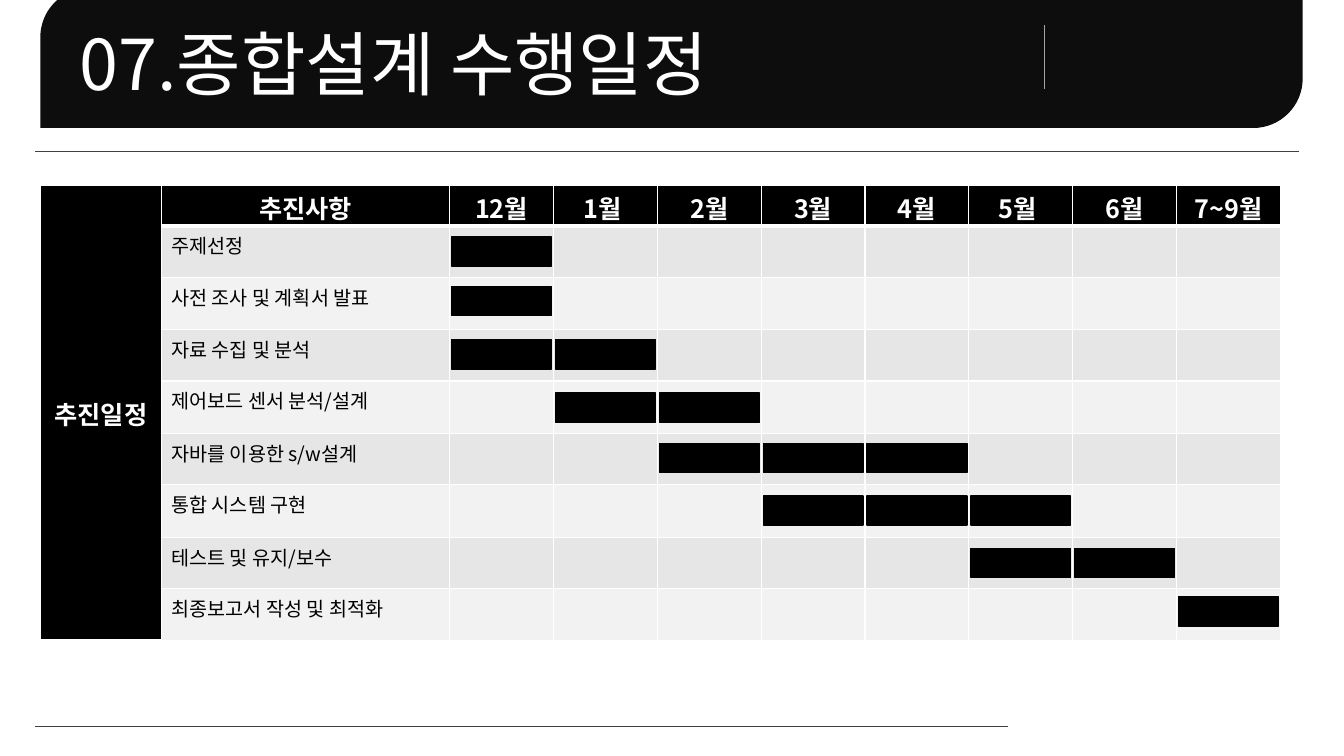
from dataclasses import dataclass
from math import cos, radians, sin

from lxml.etree import SubElement
from pptx import Presentation
from pptx.dml.color import RGBColor
from pptx.enum.shapes import MSO_CONNECTOR, MSO_SHAPE
from pptx.enum.text import MSO_ANCHOR, MSO_AUTO_SIZE, PP_ALIGN
from pptx.oxml.ns import qn
from pptx.slide import Slide
from pptx.table import _Cell
from pptx.text.text import TextFrame
from pptx.util import Emu, Pt

EMU_PER_PX = 9144  # 100 px to the inch
FONT = "Noto Sans CJK KR"
BLACK, WHITE, BANNER, RULE, DIVIDER = "000000", "FFFFFF", "0D0D0D", "404040", "A6A6A6"
ROW_FILLS = ("E7E6E6", "F2F2F2")

TABLE_LEFT, TABLE_TOP = 40, 184
STAGE_WIDTH, TASK_WIDTH, MONTH_WIDTH = 120, 286, 103
HEADER_HEIGHT, BODY_HEIGHT = 40, 412
BAR_LEFT, BAR_WIDTH, BAR_HEIGHT = 448, 99, 29
MONTHS = ("12월", "1월 ", "2월", "3월", "4월", "5월 ", "6월", "7~9월")


@dataclass(frozen=True)
class Task:
    name: str
    first_month: int
    month_count: int
    bar_top: int


@dataclass(frozen=True)
class Rule:
    start: tuple[int, int]
    end: tuple[int, int]
    color: str
    points: float


TASKS = (
    Task("주제선정", 0, 1, 235),
    Task("사전 조사 및 계획서 발표", 0, 1, 284),
    Task("자료 수집 및 분석", 0, 2, 337),
    Task("제어보드 센서 분석/설계", 1, 2, 390),
    Task("자바를 이용한 s/w설계", 2, 3, 440),
    Task("통합 시스템 구현", 3, 3, 492),
    Task("테스트 및 유지/보수", 5, 2, 544),
    Task("최종보고서 작성 및 최적화", 7, 1, 592),
)
RULES = (
    Rule((35, 150), (1288, 150), RULE, 0.5),
    Rule((35, 721), (1000, 721), RULE, 0.5),
    Rule((1036, 25), (1036, 88), DIVIDER, 1),
)


def px(length: float) -> Emu:
    return Emu(round(length * EMU_PER_PX))


def rgb(color: str) -> RGBColor:
    return RGBColor.from_string(color)


def write(frame: TextFrame, text: str, size: int, color: str,
          bold: bool = False, align: PP_ALIGN = PP_ALIGN.LEFT) -> None:
    frame.text = text
    paragraph = frame.paragraphs[0]
    paragraph.alignment = align
    for run in paragraph.runs:
        run.font.name, run.font.size, run.font.bold = FONT, Pt(size), bold
        run.font.color.rgb = rgb(color)
        SubElement(run.font._element, qn("a:ea"), typeface=FONT)


def arc(center: tuple[int, int], radius: int, start: int, end: int) -> list[tuple[Emu, Emu]]:
    """Return points on a circle; angles in degrees run clockwise from the right."""
    x, y = center
    steps = 16
    angles = [radians(start + (end - start) * step / steps) for step in range(steps + 1)]
    return [(px(x + radius * cos(a)), px(y + radius * sin(a))) for a in angles]


def draw_banner(slide: Slide) -> None:
    lower_right = arc((1243, 78), 49, 0, 90)
    upper_left = arc((89, 37), 49, 180, 229)
    builder = slide.shapes.build_freeform(px(57), 0, scale=1.0)
    builder.add_line_segments(
        [(px(1292), 0), *lower_right, (px(40), px(127)), *upper_left], close=True)
    banner = builder.convert_to_shape()
    banner.shadow.inherit = False
    banner.fill.solid()
    banner.fill.fore_color.rgb = rgb(BANNER)
    banner.line.fill.background()


def draw_rule(slide: Slide, rule: Rule) -> None:
    connector = slide.shapes.add_connector(
        MSO_CONNECTOR.STRAIGHT, *map(px, rule.start + rule.end))
    connector.line.color.rgb = rgb(rule.color)
    connector.line.width = Pt(rule.points)
    SubElement(connector._element.spPr, qn("a:effectLst"))


def draw_title(slide: Slide) -> None:
    frame = slide.shapes.add_textbox(px(69), px(15), px(721), px(94)).text_frame
    frame.word_wrap = False
    frame.auto_size = MSO_AUTO_SIZE.SHAPE_TO_FIT_TEXT
    write(frame, "07.종합설계 수행일정", 50, WHITE)


def style_cell(cell: _Cell, fill: str, bottom_points: int = 1) -> None:
    """Fill the cell and give it white borders."""
    cell.fill.solid()
    cell.fill.fore_color.rgb = rgb(fill)
    properties = cell._tc.get_or_add_tcPr()
    widths = {"lnL": 1, "lnR": 1, "lnT": 1, "lnB": bottom_points}
    for index, (side, points) in enumerate(widths.items()):
        border = properties.makeelement(qn(f"a:{side}"), {"w": str(Pt(points))})
        solid = SubElement(border, qn("a:solidFill"))
        SubElement(solid, qn("a:srgbClr"), val=WHITE)
        properties.insert(index, border)


def draw_schedule(slide: Slide) -> None:
    widths = [STAGE_WIDTH, TASK_WIDTH] + [MONTH_WIDTH] * len(MONTHS)
    edges = [BODY_HEIGHT * row // len(TASKS) for row in range(len(TASKS) + 1)]
    heights = [HEADER_HEIGHT] + [low - high for high, low in zip(edges, edges[1:])]
    table = slide.shapes.add_table(
        len(heights), len(widths), px(TABLE_LEFT), px(TABLE_TOP),
        px(sum(widths)), px(sum(heights))).table
    for column, width in zip(table.columns, widths):
        column.width = px(width)
    for row, height in zip(table.rows, heights):
        row.height = px(height)

    for row in range(len(heights)):
        for column in range(len(widths)):
            dark = row == 0 or column == 0
            style_cell(table.cell(row, column), BLACK if dark else ROW_FILLS[(row - 1) % 2],
                       3 if dark else 1)

    stage = table.cell(0, 0)
    stage.merge(table.cell(len(TASKS), 0))
    stage.vertical_anchor = MSO_ANCHOR.MIDDLE
    write(stage.text_frame, "추진일정", 18, WHITE, True, PP_ALIGN.CENTER)
    for column, heading in enumerate(("추진사항", *MONTHS), start=1):
        cell = table.cell(0, column)
        cell.margin_top, cell.margin_bottom = px(4), 0
        write(cell.text_frame, heading, 18, WHITE, True, PP_ALIGN.CENTER)
    for row, task in enumerate(TASKS, start=1):
        write(table.cell(row, 1).text_frame, task.name, 14, BLACK)


def draw_bars(slide: Slide, task: Task) -> None:
    for month in range(task.first_month, task.first_month + task.month_count):
        bar = slide.shapes.add_shape(
            MSO_SHAPE.RECTANGLE, px(BAR_LEFT + month * MONTH_WIDTH), px(task.bar_top),
            px(BAR_WIDTH), px(BAR_HEIGHT))
        bar.shadow.inherit = False
        bar.fill.solid()
        bar.fill.fore_color.rgb = rgb(BLACK)
        bar.line.color.rgb = rgb(BLACK)
        bar.line.width = Pt(1)


def main() -> None:
    presentation = Presentation()
    presentation.slide_width, presentation.slide_height = px(1333), px(750)
    slide = presentation.slides.add_slide(presentation.slide_layouts[6])
    draw_banner(slide)
    for rule in RULES:
        draw_rule(slide, rule)
    draw_title(slide)
    draw_schedule(slide)
    for task in TASKS:
        draw_bars(slide, task)
    presentation.save("out.pptx")


if __name__ == "__main__":
    main()
